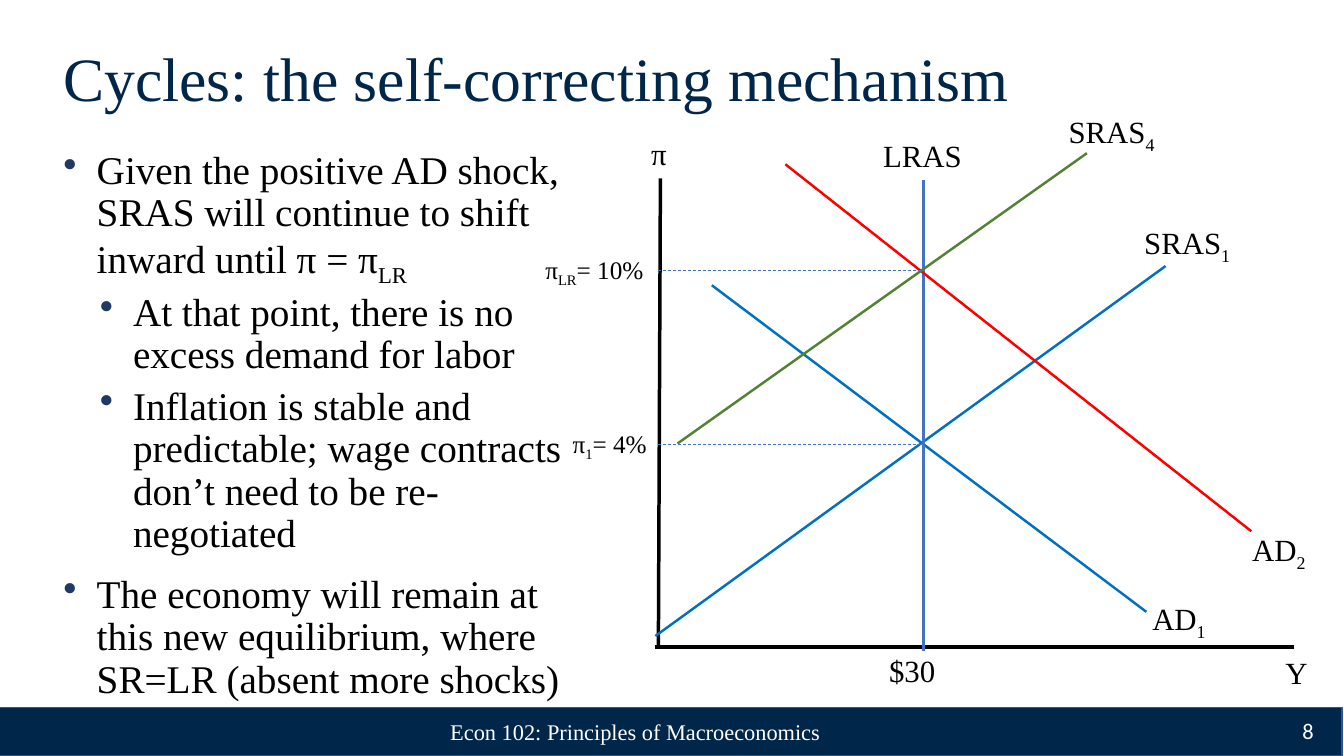
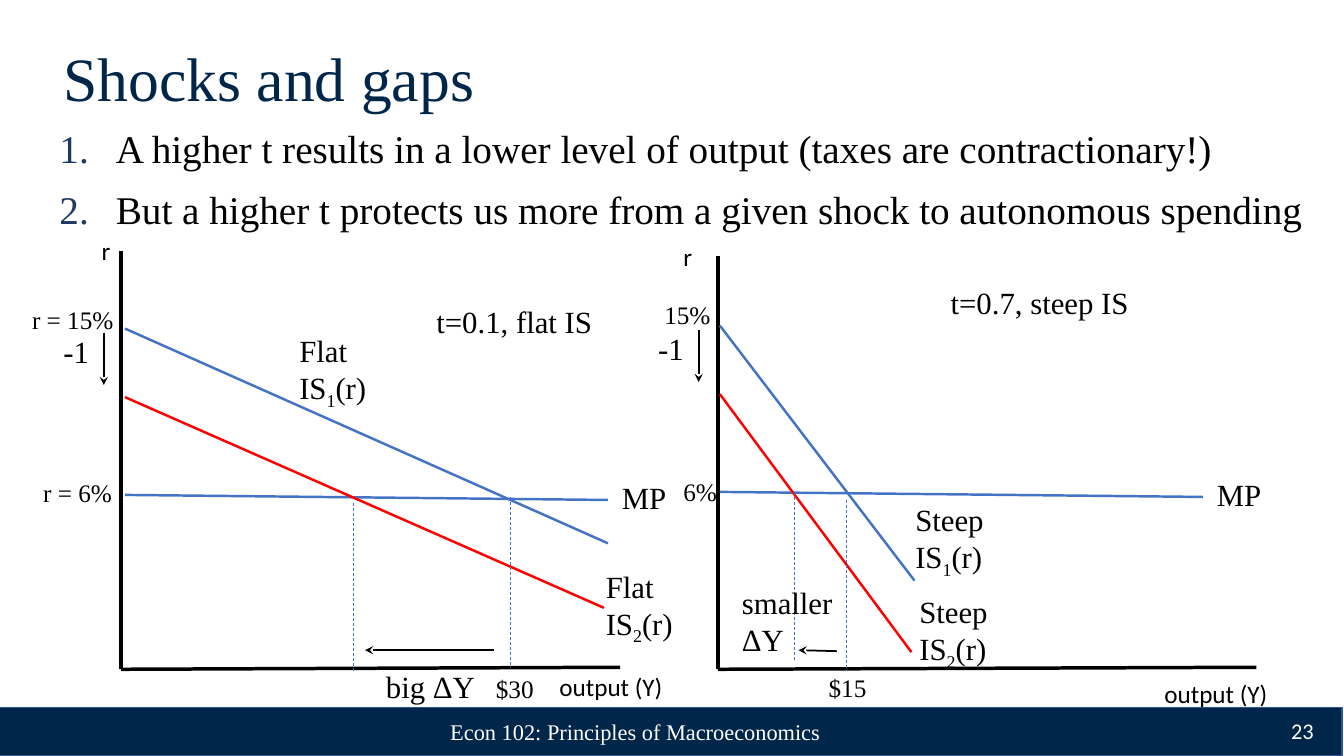
from dataclasses import dataclass

from lxml import etree
from pptx import Presentation
from pptx import util as u
from pptx.dml import color as c
from pptx.enum import dml, shapes, text
from pptx.oxml import ns

# Grid: columns and rows of a tenth of an inch
CELL = 0.1
COLUMNS, ROWS = 133.3, 75

NAVY, BAND_EDGE, BULLET = "00264A", "325491", "203864"
BLACK, WHITE = "000000", "FFFFFF"
BLUE, ACCENT, RED, GREEN = "0070C0", "4472C4", "FF0000", "548235"
SERIF, SANS = "Times New Roman", "Calibri"

# Label styles
NAME = dict(size=22, font=SERIF, wrap=False)
TICK = dict(size=18, font=SERIF, wrap=True)
AXIS = dict(size=18, font=SANS, wrap=False)

# Line styles
AXIS_LINE = dict(color=BLACK, width=2.5)
GUIDE = dict(color=ACCENT, width=0.5, dashed=True)
ARROW = dict(color=BLACK, width=1.25, arrow=True)


def curve(color):
    return dict(color=color, width=1.75)


@dataclass
class Box:
    left: float
    top: float
    width: float
    height: float

    def inner(self, left, top, width, height):
        return Box(self.left + left, self.top + top, width, height)

    def point(self, column, row):
        return cells(self.left + column), cells(self.top + row)

    def lengths(self):
        return [cells(n) for n in (self.left, self.top, self.width, self.height)]


def cells(count):
    return u.Inches(count * CELL)


def rgb(value):
    return c.RGBColor.from_string(value)


def add_child(parent, tag, **attributes):
    return etree.SubElement(parent, ns.qn(tag), attributes)


def write(paragraph, content, size, font, color):
    """Fill a paragraph; text between underscores becomes a subscript."""
    for index, part in enumerate(content.split("_")):
        if not part:
            continue
        run = paragraph.add_run()
        run.text = part
        run.font.size = u.Pt(size)
        run.font.name = font
        run.font.color.rgb = rgb(color)
        if index % 2:
            run.font._element.set("baseline", "-25000")


def add_text(slide, box, lines, size, font=SERIF, color=BLACK, wrap=True,
             margins=(0.13, 0.07), anchor=text.MSO_ANCHOR.MIDDLE, align=None):
    shape = slide.shapes.add_textbox(*box.lengths())
    frame = shape.text_frame
    frame.word_wrap = wrap
    frame.vertical_anchor = anchor
    frame.margin_left = frame.margin_right = u.Inches(margins[0])
    frame.margin_top = frame.margin_bottom = u.Inches(margins[1])
    for index, line in enumerate(lines):
        paragraph = frame.add_paragraph() if index else frame.paragraphs[0]
        paragraph.alignment = align
        write(paragraph, line, size, font, color)
    return frame


def add_line(slide, box, start, end, color, width, dashed=False, arrow=False):
    line = slide.shapes.add_connector(
        shapes.MSO_CONNECTOR.STRAIGHT, *box.point(*start), *box.point(*end))
    line.line.color.rgb = rgb(color)
    line.line.width = u.Pt(width)
    if dashed:
        line.line.dash_style = dml.MSO_LINE.DASH
    if arrow:
        add_child(line.line._get_or_add_ln(), "a:tailEnd", type="stealth")
    add_child(line._element.spPr, "a:effectLst")


def add_label(slide, box, content, left, top, width, style):
    lines = content.split("\n")
    height = 1 + len(lines) * style["size"] / 6
    frame = add_text(slide, box.inner(left, top, width, height), lines,
                     margins=(0.1, 0.05), anchor=text.MSO_ANCHOR.TOP, **style)
    frame.auto_size = text.MSO_AUTO_SIZE.SHAPE_TO_FIT_TEXT


def add_body(slide, box, items, indent, numbered=False):
    """A list of (level, text) items."""
    frame = add_text(slide, box, [item for _, item in items], 28,
                     anchor=text.MSO_ANCHOR.TOP)
    for paragraph, (level, _) in zip(frame.paragraphs, items):
        paragraph.level = level
        paragraph.line_spacing = 0.9
        paragraph.space_before = u.Pt(6.7 if level else 13.3)
        properties = paragraph._p.get_or_add_pPr()
        properties.set("marL", str(u.Inches(indent + 0.36 * level)))
        properties.set("indent", str(-u.Inches(indent)))
        bullet_color = add_child(properties, "a:buClr")
        add_child(bullet_color, "a:srgbClr", val=BULLET)
        if numbered:
            add_child(properties, "a:buAutoNum", type="arabicPeriod")
        else:
            add_child(properties, "a:buChar", char="•")


def add_footer(slide, box, number):
    band = slide.shapes.add_shape(shapes.MSO_SHAPE.RECTANGLE, *box.lengths())
    band.shadow.inherit = False
    band.fill.solid()
    band.fill.fore_color.rgb = rgb(NAVY)
    band.line.color.rgb = rgb(BAND_EDGE)
    band.line.width = u.Pt(1)
    add_text(slide, box.inner(40.7, 0.4, 45, 4),
             ["Econ 102: Principles of Macroeconomics"], 16, color=WHITE,
             align=text.PP_ALIGN.CENTER)
    add_text(slide, box.inner(122.5, 0.3, 9.3, 4), [str(number)], 16,
             font=SANS, color=WHITE, align=text.PP_ALIGN.RIGHT)


def add_slide(presentation, title, number):
    """A blank slide with the shared footer and title."""
    slide = presentation.slides.add_slide(presentation.slide_layouts[6])
    add_footer(slide, Box(-0.2, 70.2, COLUMNS, ROWS - 70.2), number)
    frame = add_text(slide, Box(5, 4, COLUMNS - 10, 8.1), [title], 44, color=NAVY)
    frame.paragraphs[0].line_spacing = 0.9
    return slide


def add_supply_demand(slide, box):
    """Aggregate supply and demand, measured from the top of the π axis."""
    full_output = 26.6
    lines = [
        ((0, box.height), (box.width, box.height), AXIS_LINE),
        ((0.5, 0), (0.3, box.height), AXIS_LINE),
        ((0, 45.4), (50.6, 8.7), curve(BLUE)),
        ((5.6, 10.6), (48.7, 43), curve(BLUE)),
        ((full_output, 46.9), (full_output, 0.2), curve(ACCENT)),
        ((12.9, -1.4), (59.1, 35), curve(RED)),
        ((2.2, 26.3), (42.8, -2.5), curve(GREEN)),
    ]
    lines += [((0.3, row), (full_output, row), GUIDE) for row in (9.1, 26.4)]
    for start, end, style in lines:
        add_line(slide, box, start, end, **style)
    for label in [
        ("π", -1.4, -4.8, 3.6, NAME),
        ("Y", 61.5, 46.7, 4.2, NAME),
        ("SRAS_1_", 47.5, 4, 10.8, NAME),
        ("SRAS_4_", 40, -7, 10.8, NAME),
        ("AD_1_", 48.3, 41.3, 7.5, NAME),
        ("AD_2_", 58.2, 34.5, 7.5, NAME),
        ("LRAS", 21.6, -4.6, 9.9, NAME),
        ("$30", 22.2, 46.5, 6.6, NAME),
        ("π_LR_= 10%", -11.9, 7, 12.1, TICK),
        ("π_1_= 4%", -9.2, 24.3, 11.1, TICK),
    ]:
        add_label(slide, box, *label)


def add_shock_panel(slide, box, axes, curve_ends, drops, gap, labels):
    """An IS-MP graph in which the IS curve shifts down."""
    top, corner, right = axes
    lines = [
        (top, corner, AXIS_LINE),
        (corner, right, AXIS_LINE),
        ((0.4, 24.2), (48.3, 24.7), curve(ACCENT)),
        ((0.4, 7.7), curve_ends[0], curve(ACCENT)),
        ((0.4, 14.5), curve_ends[1], curve(RED)),
        ((-1.7, 8.1), (-1.7, 13.3), ARROW),
        (*gap, ARROW),
    ]
    lines += [((column, start), (column, end), GUIDE) for column, start, end in drops]
    for start, end, style in lines:
        add_line(slide, box, start, end, **style)
    shared = [("-1", -6.7, 7.6, 4.6, NAME), ("MP", 48.7, 22.1, 6.5, NAME)]
    for label in shared + labels:
        add_label(slide, box, *label)


def build_cycles(presentation):
    slide = add_slide(presentation, "Cycles: the self-correcting mechanism", 8)
    add_body(slide, Box(5, 14.2, 52.7, 56.3), [
        (0, "Given the positive AD shock, SRAS will continue to shift inward "
            "until π = π_LR_"),
        (1, "At that point, there is no excess demand for labor"),
        (1, "Inflation is stable and predictable; wage contracts don’t need "
            "to be re-negotiated"),
        (0, "The economy will remain at this new equilibrium, where SR=LR "
            "(absent more shocks)"),
    ], indent=0.33)
    add_supply_demand(slide, Box(65, 17.7, 63.3, 46.5))


def build_shocks(presentation):
    slide = add_slide(presentation, "Shocks and gaps", 23)
    add_body(slide, Box(4.6, 12.2, 127, 13.1), [
        (0, "A higher t results in a lower level of output (taxes are "
            "contractionary!)"),
        (0, "But a higher t protects us more from a given shock to "
            "autonomous spending"),
    ], indent=0.56, numbered=True)
    # Flat IS curve
    add_shock_panel(
        slide, Box(12, 24.9, 49.5, 41.5),
        axes=[(0, 0), (0, 41.5), (49.5, 41.3)],
        curve_ends=[(48.3, 29), (47.9, 35.4)],
        drops=[(38.6, 24.4, 41.3), (23, 25, 41.8)],
        gap=[(37, 39.6), (24.2, 39.6)],
        labels=[
            ("r", -2.9, -2, 2.9, AXIS),
            ("output (Y)", 42.5, 41.2, 12.4, AXIS),
            ("t=0.1, flat IS", 30.3, 4.6, 17.7, NAME),
            ("Flat\nIS_1_(r)", 16.7, 7.5, 8.9, NAME),
            ("Flat\nIS_2_(r)", 47.1, 30.9, 8.9, NAME),
            ("big ΔY", 25.3, 40.8, 11.4, NAME),
            ("r = 15%", -9.8, 4.8, 10.4, TICK),
            ("r = 6%", -8.7, 22, 10.4, TICK),
            ("$30", 36.2, 41.4, 10.4, TICK),
        ])
    # Steep IS curve
    add_shock_panel(
        slide, Box(71, 24.6, 53.6, 41.8),
        axes=[(0.2, 0.8), (0.2, 41.8), (53.6, 41.6)],
        curve_ends=[(19.7, 33), (19.4, 40.1)],
        drops=[(12.9, 25, 41.9), (7.8, 24.2, 41)],
        gap=[(12, 40), (8.2, 39.9)],
        labels=[
            ("r", -4.2, -1.2, 2.9, AXIS),
            ("output (Y)", 43.5, 42.2, 12.4, AXIS),
            ("t=0.7, steep IS", 22.3, 3.1, 19.9, NAME),
            ("Steep\nIS_1_(r)", 18.8, 24.6, 10.4, NAME),
            ("Steep\nIS_2_(r)", 19.2, 33.7, 8.9, NAME),
            ("smaller\nΔY", 1.6, 32.8, 11.9, NAME),
            ("15%", -6.1, 4.6, 7, TICK),
            ("6%", -4.2, 22.2, 5.7, TICK),
            ("$15", 10.2, 41.6, 10.4, TICK),
        ])


def main():
    presentation = Presentation()
    presentation.slide_width = cells(COLUMNS)
    presentation.slide_height = cells(ROWS)
    build_cycles(presentation)
    build_shocks(presentation)
    presentation.save("out.pptx")


if __name__ == "__main__":
    main()
